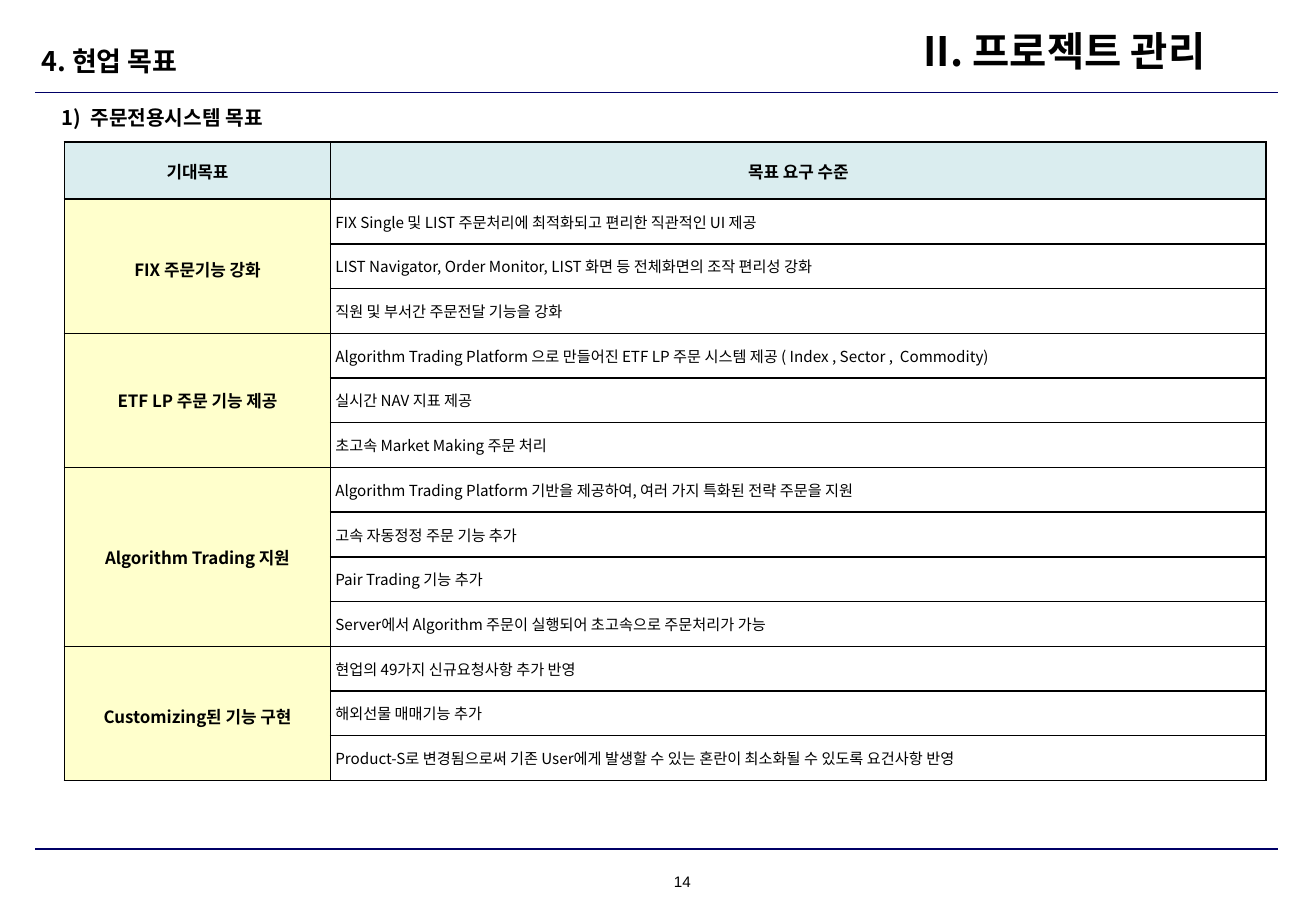
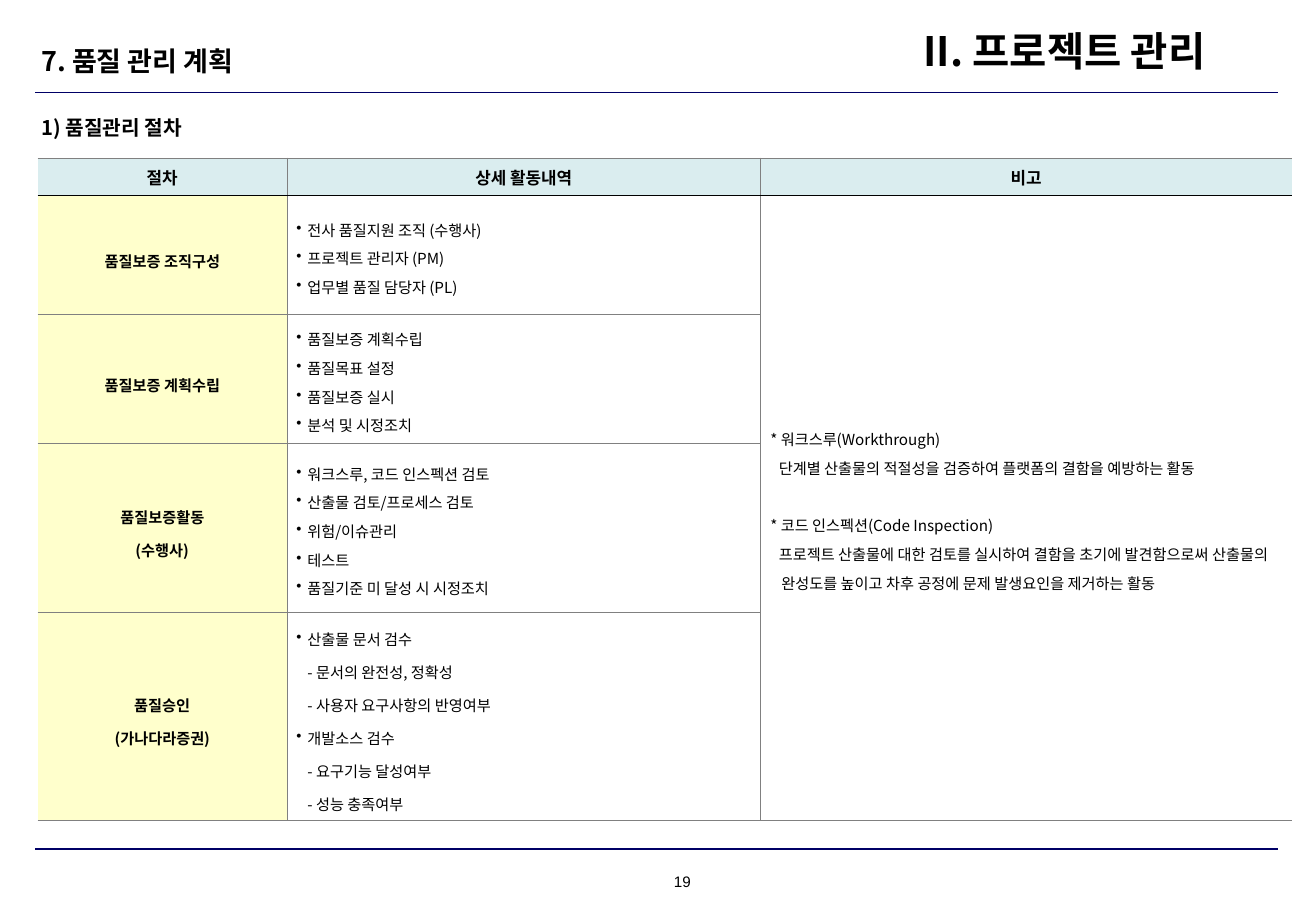
from lxml import etree
from pptx import Presentation
from pptx.dml.color import RGBColor
from pptx.enum.shapes import MSO_CONNECTOR
from pptx.enum.text import MSO_ANCHOR, MSO_AUTO_SIZE, PP_ALIGN
from pptx.oxml.ns import qn
from pptx.util import Inches, Pt

STRAIGHT = MSO_CONNECTOR.STRAIGHT
TOP, MIDDLE, BOTTOM = MSO_ANCHOR.TOP, MSO_ANCHOR.MIDDLE, MSO_ANCHOR.BOTTOM
LEFT, CENTER = PP_ALIGN.LEFT, PP_ALIGN.CENTER
GROW, FIXED = MSO_AUTO_SIZE.SHAPE_TO_FIT_TEXT, MSO_AUTO_SIZE.NONE

COLORS = {"ink": "000000", "rule": "000066", "grid": "808080",
          "header": "DAEDEF", "label": "FFFFCC"}
KOREAN = "Noto Sans CJK KR"
NUMBER_FONT = "Arial"
CHAPTER = "II. 프로젝트 관리"

# Paragraph kinds: left margin, first-line indent (inches), bullet
KINDS = {"plain": (0, 0, None), "bullet": (0.09, -0.09, "•"),
         "dash": (0.09, 0, None), "note": (0.09, -0.02, None)}

GOALS = [
    ("FIX 주문기능 강화", Pt(18), [
        "FIX Single 및 LIST 주문처리에 최적화되고 편리한 직관적인 UI 제공",
        "LIST Navigator, Order Monitor, LIST 화면 등 전체화면의 조작 편리성 강화",
        "직원 및 부서간 주문전달 기능을 강화"]),
    ("ETF LP 주문 기능 제공", None, [
        "Algorithm Trading Platform 으로 만들어진 ETF LP 주문 시스템 제공 "
        "( Index , Sector ,  Commodity)",
        "실시간 NAV 지표 제공",
        "초고속 Market Making 주문 처리"]),
    ("Algorithm Trading 지원", None, [
        "Algorithm Trading Platform 기반을 제공하여, 여러 가지 특화된 전략 주문을 지원",
        "고속 자동정정 주문 기능 추가",
        "Pair Trading 기능 추가",
        "Server에서 Algorithm 주문이 실행되어 초고속으로 주문처리가 가능"]),
    ("Customizing된 기능 구현", Pt(18), [
        "현업의 49가지 신규요청사항 추가 반영",
        "해외선물 매매기능 추가",
        "Product-S로 변경됨으로써 기존 User에게 발생할 수 있는 혼란이 "
        "최소화될 수 있도록 요건사항 반영"]),
]

# Label lines, line spacing of the activities, activities
STEPS = [
    (["품질보증 조직구성"], 1.3,
     ["전사 품질지원 조직 (수행사)", "프로젝트 관리자 (PM)", "업무별 품질 담당자 (PL)"]),
    (["품질보증 계획수립"], 1.3,
     ["품질보증 계획수립", "품질목표 설정", "품질보증 실시", "분석 및 시정조치"]),
    (["품질보증활동", "(수행사)"], 1.3,
     ["워크스루, 코드 인스펙션 검토", "산출물 검토/프로세스 검토", "위험/이슈관리",
      "테스트", "품질기준 미 달성 시 시정조치"]),
    (["품질승인", "(가나다라증권)"], 1.5,
     ["산출물 문서 검수", "- 문서의 완전성, 정확성", "- 사용자 요구사항의 반영여부",
      "개발소스 검수", "- 요구기능 달성여부", "- 성능 충족여부"]),
]
REMARKS = [
    ("plain", "* 워크스루(Workthrough)"),
    ("note", "단계별 산출물의 적절성을 검증하여 플랫폼의 결함을 예방하는 활동"),
    ("plain", "* 코드 인스펙션(Code Inspection)"),
    ("note", "프로젝트 산출물에 대한 검토를 실시하여 결함을 초기에 발견함으로써 산출물의 "
             "완성도를 높이고 차후 공정에 문제 발생요인을 제거하는 활동"),
]


def color(name):
    """Return a named colour."""
    return RGBColor.from_string(COLORS[name])


def write(frame, items, size, bold=False, align=LEFT, spacing=None, font=KOREAN):
    """Fill a text frame with (kind, text) paragraphs in one style."""
    frame.text = "\n".join(text for _, text in items)
    for para, (kind, _) in zip(frame.paragraphs, items):
        para.alignment = align
        if spacing:
            para.line_spacing = spacing
        margin, indent, bullet = KINDS[kind]
        properties = para._p.get_or_add_pPr()
        properties.set("marL", str(Inches(margin)))
        properties.set("indent", str(Inches(indent)))
        if bullet:
            etree.SubElement(properties, qn("a:buChar")).set("char", bullet)
        for span in para.runs:
            span.font.name = font
            span.font.size = Pt(size)
            span.font.bold = bold
            span.font.color.rgb = color("ink")
            east_asian = etree.SubElement(span._r.get_or_add_rPr(), qn("a:ea"))
            east_asian.set("typeface", font)


def add_text(page, text, left, top, width, height, size, inset=True, wrap=True,
             anchor=BOTTOM, grow=True, **style):
    """Add a one-line text box."""
    box = page.shapes.add_textbox(Inches(left), Inches(top), Inches(width), Inches(height))
    frame = box.text_frame
    frame.word_wrap = wrap
    frame.auto_size = GROW if grow else FIXED
    frame.vertical_anchor = anchor
    if not inset:
        frame.margin_left = frame.margin_right = frame.margin_top = frame.margin_bottom = 0
    write(frame, [("plain", text)], size, **style)


def add_rule(page, top):
    """Draw a horizontal rule across the page."""
    rule = page.shapes.add_connector(STRAIGHT, Inches(0.29), Inches(top),
                                     Inches(10.52), Inches(top))
    rule.line.color.rgb = color("rule")
    rule.line.width = Pt(0.75)
    etree.SubElement(rule._element.spPr, qn("a:effectLst"))


def add_page(deck, title, number):
    """Add a page with its rules, title, chapter and page number."""
    page = deck.slides.add_slide(deck.slide_layouts[6])
    add_rule(page, 0.76)
    add_rule(page, 6.99)
    add_text(page, str(number), 5.26, 7.13, 0.71, 0.22, 9, anchor=TOP, grow=False,
             align=CENTER, font=NUMBER_FONT)
    add_text(page, title, 0.34, 0.36, 3.83, 0.27, 16, inset=False, bold=True)
    add_text(page, CHAPTER, 7.6, 0.12, 2.81, 0.58, 24, inset=False, wrap=False,
             anchor=MIDDLE, grow=False, bold=True)
    return page


def add_grid(page, left, top, widths, heights):
    """Add an unstyled table with the given column widths and row heights."""
    table = page.shapes.add_table(len(heights), len(widths), Inches(left), Inches(top),
                                  Inches(sum(widths)), Inches(sum(heights))).table
    table.first_row = table.horz_banding = False
    for column, width in zip(table.columns, widths):
        column.width = Inches(width)
    for row, height in zip(table.rows, heights):
        row.height = Inches(height)
    return table


def set_borders(cell, **sides):
    """Set the L, R, T and B borders as (colour, points), or None for no line."""
    properties = cell._tc.get_or_add_tcPr()
    for side in "LRTB":
        line = etree.SubElement(properties, qn("a:ln" + side))
        if sides[side] is None:
            etree.SubElement(line, qn("a:noFill"))
            continue
        name, points = sides[side]
        line.set("w", str(Pt(points)))
        fill = etree.SubElement(line, qn("a:solidFill"))
        etree.SubElement(fill, qn("a:srgbClr")).set("val", COLORS[name])


def style_cells(table, borders, margins):
    """Give every cell its borders, margins and fill; borders(row, column) names the lines."""
    for row_index, row in enumerate(table.rows):
        for column_index, cell in enumerate(row.cells):
            set_borders(cell, **borders(row_index, column_index))
            cell.margin_left = cell.margin_right = Inches(margins[0])
            cell.margin_top = cell.margin_bottom = Inches(margins[1])
            cell.vertical_anchor = MIDDLE
            if row_index == 0 or column_index == 0:
                cell.fill.solid()
                cell.fill.fore_color.rgb = color("label" if row_index else "header")
            else:
                cell.fill.background()


def write_header(table, titles, spacing=None):
    """Write the header row."""
    for cell, title in zip(table.rows[0].cells, titles):
        write(cell.text_frame, [("plain", title)], 10, True, CENTER, spacing)


def goal_borders(row, column):
    """Box every cell of the goal table."""
    return dict.fromkeys("LRTB", ("ink", 1))


def step_borders(row, column):
    """Rule the step table in grey, open at both sides, dark below the header."""
    thin, dark = ("grid", 0.25), ("ink", 1)
    return {"L": thin if column > 0 else None, "R": thin if column < 2 else None,
            "T": dark if row == 1 else thin, "B": dark if row == 0 else thin}


def build_goals(deck):
    """Build the page of business goals."""
    page = add_page(deck, "4. 현업 목표", 14)
    count = sum(len(levels) for _, _, levels in GOALS)
    table = add_grid(page, 0.53, 1.17, [2.19, 7.7], [0.47] + [4.79 / count] * count)
    style_cells(table, goal_borders, (0.04, 0))
    write_header(table, ["기대목표", "목표 요구 수준"], 1.07)
    first = 1
    for goal, spacing, levels in GOALS:
        label = table.cell(first, 0)
        label.merge(table.cell(first + len(levels) - 1, 0))
        write(label.text_frame, [("plain", goal)], 10, True, CENTER, spacing)
        for row, level in enumerate(levels, first):
            write(table.cell(row, 1).text_frame, [("plain", level)], 9)
        first += len(levels)
    add_text(page, "1)  주문전용시스템 목표", 0.41, 0.76, 2.25, 0.36, 12, anchor=TOP,
             bold=True, spacing=1.3)


def build_quality(deck):
    """Build the page of quality steps."""
    page = add_page(deck, "7. 품질 관리 계획", 19)
    add_text(page, "1) 품질관리 절차", 0.34, 0.95, 1.29, 0.2, 12, inset=False,
             wrap=False, bold=True)
    table = add_grid(page, 0.31, 1.3, [2.05, 3.9, 4.37], [0.31, 0.98, 1.06, 1.39, 1.71])
    style_cells(table, step_borders, (0.08, 0.04))
    write_header(table, ["절차", "상세 활동내역", "비고"])
    for row, (label, spacing, activities) in enumerate(STEPS, 1):
        write(table.cell(row, 0).text_frame, [("plain", line) for line in label],
              9, True, CENTER, 1.5)
        items = [("dash" if text.startswith("-") else "bullet", text) for text in activities]
        write(table.cell(row, 1).text_frame, items, 9, spacing=spacing)
    remark = table.cell(1, 2)
    remark.merge(table.cell(len(STEPS), 2))
    write(remark.text_frame, REMARKS, 9, spacing=1.3)
    remark.text_frame.paragraphs[2].space_before = Pt(17)


def main():
    """Build and save the deck."""
    deck = Presentation()
    deck.slide_width, deck.slide_height = Inches(10.83), Inches(7.5)
    build_goals(deck)
    build_quality(deck)
    deck.save("out.pptx")


main()
